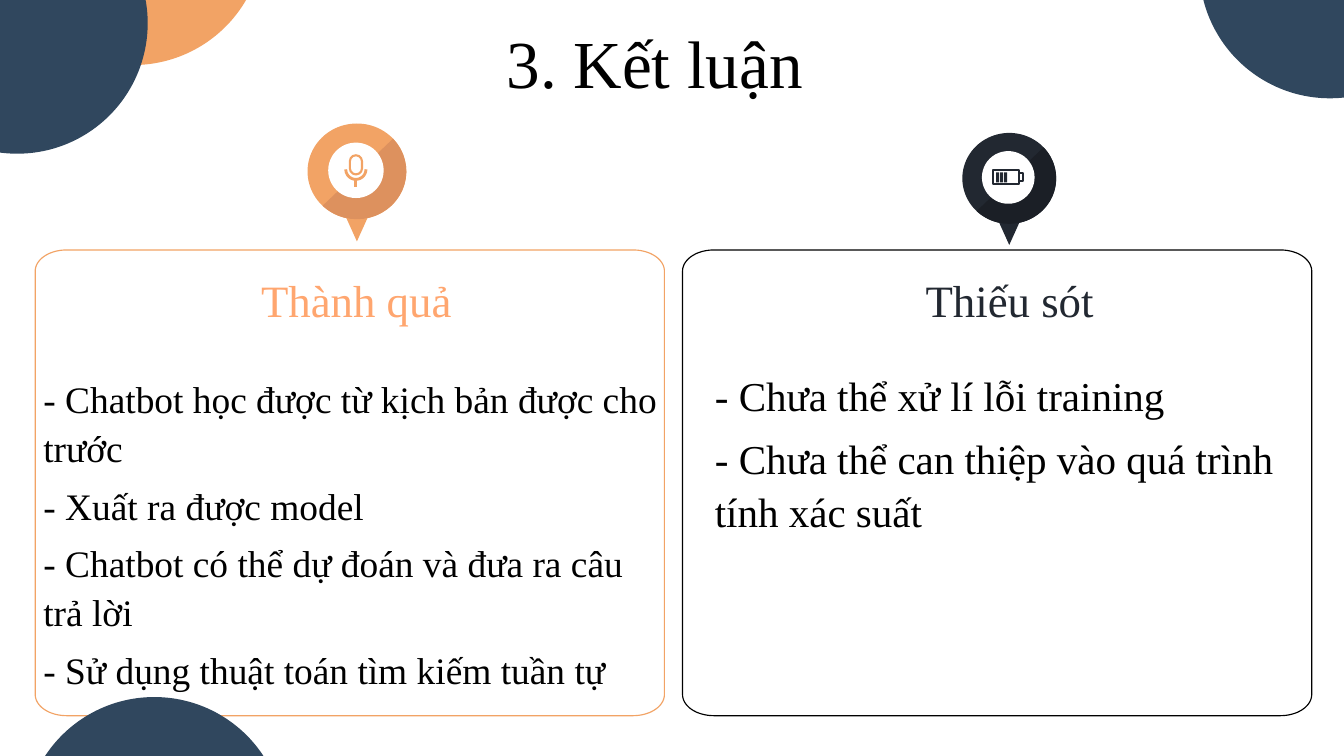
from math import cos, radians, sin

from lxml import etree
from pptx import Presentation
from pptx.dml.color import RGBColor
from pptx.enum.shapes import MSO_CONNECTOR, MSO_SHAPE
from pptx.enum.text import MSO_ANCHOR, MSO_AUTO_SIZE, PP_ALIGN
from pptx.oxml.ns import qn
from pptx.util import Inches, Pt

OVAL, RECT = MSO_SHAPE.OVAL, MSO_SHAPE.RECTANGLE
ROUND = MSO_SHAPE.ROUNDED_RECTANGLE
LEFT, CENTER = PP_ALIGN.LEFT, PP_ALIGN.CENTER
TOP, MIDDLE = MSO_ANCHOR.TOP, MSO_ANCHOR.MIDDLE
FONT = "Times New Roman"
COLORS = {
    "orange": "F2A365", "peach": "FFA66F", "rust": "DD915E",
    "navy": "30475E", "dark": "222831", "shade": "1B1F26",
    "black": "000000", "white": "FFFFFF",
}


def rgb(name):
    return RGBColor.from_string(COLORS[name])


def paint(shape, fill=None, line=None, width=1):
    shape.shadow.inherit = False
    if fill:
        shape.fill.solid()
        shape.fill.fore_color.rgb = rgb(fill)
    else:
        shape.fill.background()
    if line:
        shape.line.color.rgb = rgb(line)
        shape.line.width = Pt(width)
    else:
        shape.line.fill.background()
    return shape


def add(slide, kind, box, **look):
    shape = slide.shapes.add_shape(kind, *map(Inches, box))
    return paint(shape, **look)


def disc(slide, x, y, w, h, fill):
    """Draw an oval around the centre x, y."""
    add(slide, OVAL, (x - w / 2, y - h / 2, w, h), fill=fill)


def arc(x, y, rx, ry, start, end, steps=24):
    """Points on an ellipse, in degrees clockwise from the right."""
    turns = [radians(start + (end - start) * i / steps)
             for i in range(steps + 1)]
    return [(x + rx * cos(t), y + ry * sin(t)) for t in turns]


def outline(slide, points, close=True, **look):
    spots = [(Inches(x), Inches(y)) for x, y in points]
    form = slide.shapes.build_freeform(*spots[0], scale=1)
    form.add_line_segments(spots[1:], close=close)
    return paint(form.convert_to_shape(), **look)


def write(holder, box, lines, size, color, align=CENTER, anchor=MIDDLE,
          inset=0.13, after=0, space=1):
    holder.left, holder.top, holder.width, holder.height = map(Inches, box)
    frame = holder.text_frame
    frame.text = "\n".join(lines)
    frame.word_wrap = True
    frame.auto_size = MSO_AUTO_SIZE.NONE
    frame.vertical_anchor = anchor
    frame.margin_left = frame.margin_right = Inches(inset)
    frame.margin_top = frame.margin_bottom = Inches(min(inset, 0.13) / 2
                                                    if align == LEFT else inset)
    for para in frame.paragraphs:
        props = para._p.get_or_add_pPr()
        props.set("marL", "0")
        props.set("indent", "0")
        etree.SubElement(props, qn("a:buNone"))
        para.alignment = align
        para.space_before = Pt(0)
        para.space_after = Pt(after)
        para.line_spacing = space
        for run in para.runs:
            font = run.font
            font.name, font.size, font.bold = FONT, Pt(size), False
            font.color.rgb = rgb(color)


def panel(slide, box, color):
    x, y, w, h = box
    rx, ry = 0.31, 0.21
    corners = [(x + w - rx, y + h - ry), (x + rx, y + h - ry),
               (x + rx, y + ry), (x + w - rx, y + ry)]
    points = []
    for i, (cx, cy) in enumerate(corners):
        points += arc(cx, cy, rx, ry, 90 * i, 90 * i + 90)
    outline(slide, points, line=color, width=0.81)


def pin(slide, x, y, scale, color, shade):
    """Draw a map pin whose ring is centred on x, y."""
    w, h, hole = 0.98 * scale, 0.95 * scale, 0.55 * scale
    half, neck, tip = 0.14 * scale, 0.385 * scale, 0.695 * scale
    outline(slide, [(x - half, y + neck), (x, y + tip),
                    (x + half, y + neck)], fill=color)
    disc(slide, x, y, w, h, color)
    outline(slide, arc(x, y, w / 2, h / 2, -43, 134), fill=shade)
    disc(slide, x - 0.01, y - 0.01, hole, hole, "white")


def mic(slide, x, y, color):
    body = add(slide, ROUND, (x - 0.06, y - 0.16, 0.12, 0.19),
               line=color, width=1.5)
    body.adjustments[0] = 0.5
    outline(slide, arc(x, y - 0.02, 0.1, 0.1, 0, 180), close=False,
            line=color, width=2)
    stem = slide.shapes.add_connector(
        MSO_CONNECTOR.STRAIGHT,
        *map(Inches, (x, y + 0.08, x, y + 0.16)))
    stem.line.color.rgb = rgb(color)
    stem.line.width = Pt(2)
    etree.SubElement(stem._element.spPr, qn("a:effectLst"))


def battery(slide, x, y, color):
    add(slide, RECT, (x - 0.15, y - 0.07, 0.26, 0.14), line=color, width=1.5)
    add(slide, RECT, (x + 0.11, y - 0.04, 0.04, 0.08), line=color, width=1.5)
    for i in range(3):
        add(slide, RECT, (x - 0.12 + 0.04 * i, y - 0.05, 0.03, 0.1),
            fill=color)


def column(slide, box, edge, head, body, title, color, lines, size,
           shift, text):
    """Fill one panel; shift places the heading, text is the list's box."""
    x, y, w, h = box
    panel(slide, box, edge)
    write(head, (x + shift, y + 0.14, 2.21, 0.7), [title], 32, color)
    dx, dy, tw, th = text
    write(body, (x + dx, y + dy, tw, th), lines, size, "black",
          align=LEFT, anchor=TOP, inset=0.1, after=6.7, space=1.08)


def corners(slide):
    for x, y, color in [(1.32, -0.65, "orange"), (0.17, 0.23, "navy"),
                        (1.53, 8.21, "navy"), (13.19, -0.32, "navy")]:
        disc(slide, x, y, 2.59, 2.59, color)


def main():
    deck = Presentation()
    deck.slide_width, deck.slide_height = Inches(13.33), Inches(7.5)
    slide = deck.slides.add_slide(deck.slide_layouts[4])
    title, head1, body1, head2, body2 = slide.placeholders
    write(title, (3.41, 0.26, 6.17, 0.7), ["3. Kết luận"], 48, "black")
    column(slide, (0.35, 2.48, 6.24, 4.62), "orange", head1, body1,
           "Thành quả", "peach",
           ["- Chatbot học được từ kịch bản được cho trước",
            "- Xuất ra được model",
            "- Chatbot có thể dự đoán và đưa ra câu trả lời",
            "- Sử dụng thuật toán tìm kiếm tuần tự"],
           26.7, 2.08, (-0.02, 1.17, 6.41, 3.09))
    column(slide, (6.77, 2.48, 6.24, 4.62), "black", head2, body2,
           "Thiếu sót", "dark",
           ["- Chưa thể xử lí lỗi training",
            "- Chưa thể can thiệp vào quá trình tính xác suất"],
           29.3, 2.14, (0.22, 1.11, 5.91, 1.68))
    pin(slide, 3.54, 1.7, 1, "orange", "rust")
    mic(slide, 3.53, 1.7, "orange")
    pin(slide, 10.01, 1.77, 0.95, "dark", "shade")
    battery(slide, 10, 1.76, "dark")
    corners(slide)
    deck.save("out.pptx")


if __name__ == "__main__":
    main()
